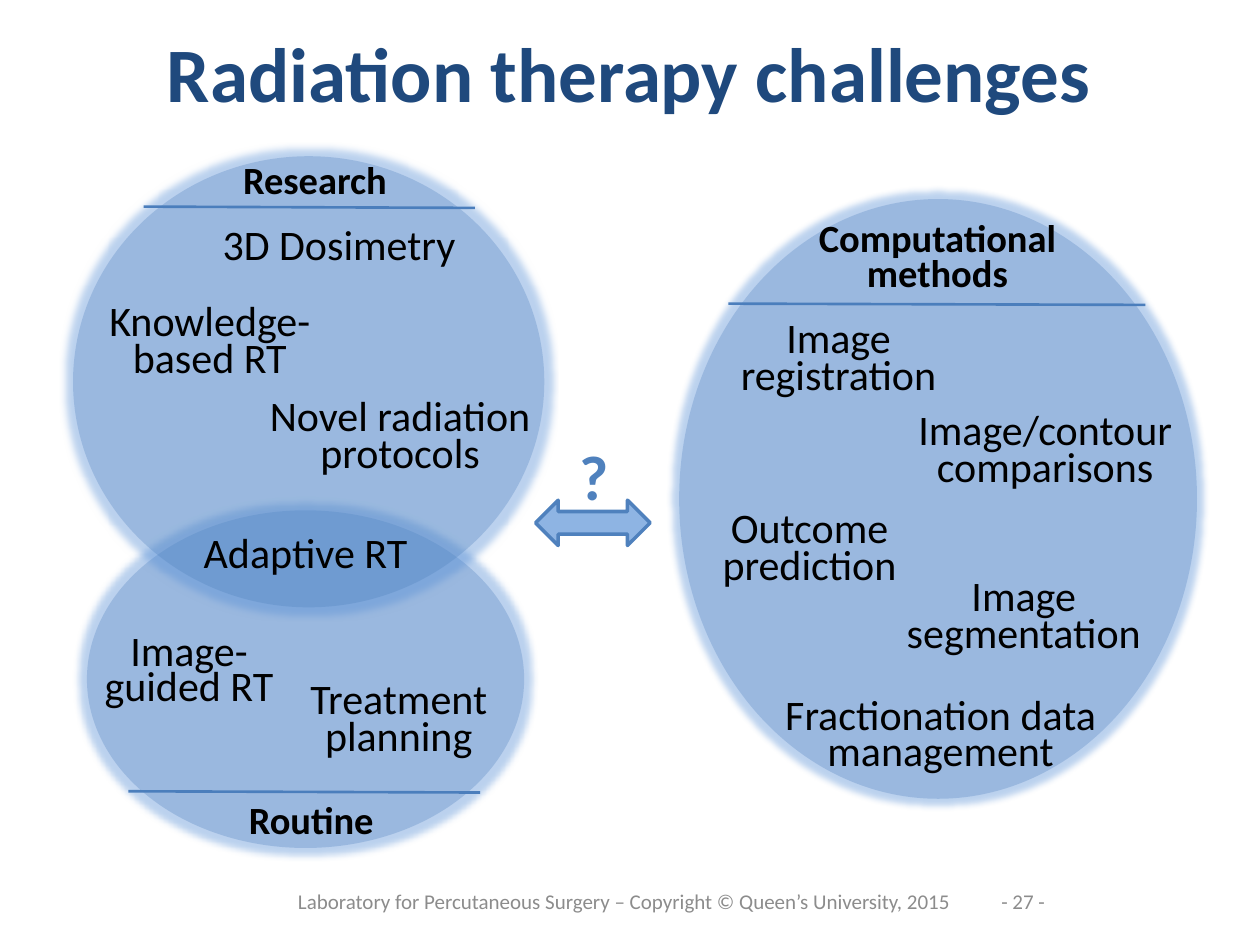
from lxml.etree import SubElement
from pptx import Presentation
from pptx.dml.color import RGBColor
from pptx.enum.shapes import MSO_CONNECTOR, MSO_SHAPE
from pptx.enum.text import MSO_ANCHOR, PP_ALIGN
from pptx.oxml.ns import qn
from pptx.util import Inches, Pt

BLUE = RGBColor(0x4F, 0x81, 0xBD)
LINE_BLUE = RGBColor(0x4B, 0x7E, 0xBC)
LIGHT_BLUE = RGBColor(0x8E, 0xB4, 0xE3)
GLOW_BLUE = RGBColor(0x55, 0x8E, 0xD5)
NAVY = RGBColor(0x1F, 0x49, 0x7D)
BLACK = RGBColor(0, 0, 0)
GREY = RGBColor(0x8C, 0x8C, 0x8C)

COLUMNS, ROWS = 100, 75


def add_alpha(color_element, percent):
    SubElement(color_element, qn("a:alpha"), val=str(percent * 1000))


class SlideBuilder:
    """Draws on one slide; lengths are columns and rows of a 100 x 75 grid."""

    font_name = "Calibri"

    def __init__(self, presentation):
        self.slide = presentation.slides.add_slide(presentation.slide_layouts[6])
        self.column = presentation.slide_width / COLUMNS
        self.row = presentation.slide_height / ROWS

    def place(self, left, top, width, height):
        return (round(left * self.column), round(top * self.row),
                round(width * self.column), round(height * self.row))

    def text(self, text, box, size=24, color=BLACK, bold=False, spacing=None,
             anchor=MSO_ANCHOR.TOP, align=PP_ALIGN.CENTER, wrap=True):
        text_frame = self.slide.shapes.add_textbox(*self.place(*box)).text_frame
        text_frame.word_wrap = wrap
        text_frame.vertical_anchor = anchor
        text_frame.text = text
        paragraph = text_frame.paragraphs[0]
        paragraph.alignment = align
        if spacing:
            paragraph.line_spacing = Pt(spacing)
        for run in paragraph.runs:
            run.font.name = self.font_name
            run.font.size = Pt(size)
            run.font.bold = bold
            run.font.color.rgb = color

    def shape(self, kind, box, fill):
        shape = self.slide.shapes.add_shape(kind, *self.place(*box))
        shape.shadow.inherit = False
        shape.fill.solid()
        shape.fill.fore_color.rgb = fill
        return shape

    def glowing_ellipse(self, box):
        ellipse = self.shape(MSO_SHAPE.OVAL, box, BLUE)
        ellipse.line.fill.background()
        properties = ellipse._element.spPr
        add_alpha(properties.find(qn("a:solidFill"))[0], 30)
        glow = SubElement(properties.find(qn("a:effectLst")), qn("a:glow"),
                          rad=str(Pt(8)))
        add_alpha(SubElement(glow, qn("a:srgbClr"), val=str(GLOW_BLUE)), 40)

    def double_arrow(self, box):
        arrow = self.shape(MSO_SHAPE.LEFT_RIGHT_ARROW, box, LIGHT_BLUE)
        arrow.line.color.rgb = BLUE
        arrow.line.width = Pt(2)

    def rule(self, left, right, top):
        """Draws a divider that drops slightly to the right."""
        start = self.place(right, top + 0.1, 0, 0)[:2]
        end = self.place(left, top, 0, 0)[:2]
        line = self.slide.shapes.add_connector(MSO_CONNECTOR.STRAIGHT, *start, *end)
        line.line.color.rgb = LINE_BLUE
        line.line.width = Pt(1.5)
        SubElement(line._element.spPr, qn("a:effectLst"))


ELLIPSES = [
    (6.9, 40.5, 34.7, 26.8),
    (5.8, 12.4, 37.4, 35.8),
    (53.9, 15.8, 41.1, 47.6),
]
RULES = [(11.4, 37.7, 16.4), (10.2, 38.1, 62.8), (57.8, 90.9, 24.1)]
HEADINGS = [
    ("Research", (12.8, 11.9, 24.4, 4.2), None),
    ("Routine", (12.5, 62.7, 24.4, 4.2), None),
    ("Computational methods", (62.2, 17.4, 24.4, 6.8), 20),
]
TOPICS = [
    ("Adaptive RT", (15.1, 42.5, 18.3, 4.2), 20),
    ("Image-guided RT", (6.7, 50.3, 16.6, 5.8), 20),
    ("3D Dosimetry", (15.8, 18.1, 22.2, 4.2), 20),
    ("Treatment\vplanning", (22.5, 54, 18.3, 6), 21),
    ("Novel radiation protocols", (18.5, 31.5, 26.5, 6), 21),
    ("Knowledge-based RT", (6.7, 24, 19.9, 6), 21),
    ("Image registration", (54.5, 25.3, 24.1, 6), 21),
    ("Image/contour comparisons", (70.9, 32.6, 24.1, 6), 21),
    ("Outcome prediction", (52.2, 40.4, 24.1, 6), 21),
    ("Image segmentation", (69.2, 45.8, 24.1, 6), 21),
    ("Fractionation data management", (60.2, 55.2, 28.9, 6), 21),
]
FOOTERS = [
    ("- 27 -", (78.3, 69.5, 5.8, 4)),
    ("Laboratory for Percutaneous Surgery – Copyright © Queen’s University, 2015",
     (20.8, 69.5, 57.5, 4)),
]


def main():
    presentation = Presentation()
    presentation.slide_width = Inches(10)
    presentation.slide_height = Inches(7.5)
    builder = SlideBuilder(presentation)

    for box in ELLIPSES:
        builder.glowing_ellipse(box)
    for text, box in FOOTERS:
        builder.text(text, box, size=12, color=GREY, anchor=MSO_ANCHOR.MIDDLE)
    builder.text("Radiation therapy challenges", (3.6, 0, 92.7, 11.4), size=44,
                 color=NAVY, bold=True, anchor=MSO_ANCHOR.MIDDLE)
    for left, right, top in RULES:
        builder.rule(left, right, top)
    for text, box, spacing in HEADINGS:
        builder.text(text, box, size=22, bold=True, spacing=spacing)
    for text, box, spacing in TOPICS:
        builder.text(text, box, spacing=spacing)
    builder.double_arrow((42.5, 39.7, 9.1, 3.6))
    builder.text("?", (45, 34.2, 4.4, 7.1), size=36, color=BLUE, bold=True,
                 align=PP_ALIGN.LEFT, wrap=False)

    presentation.save("out.pptx")


if __name__ == "__main__":
    main()
